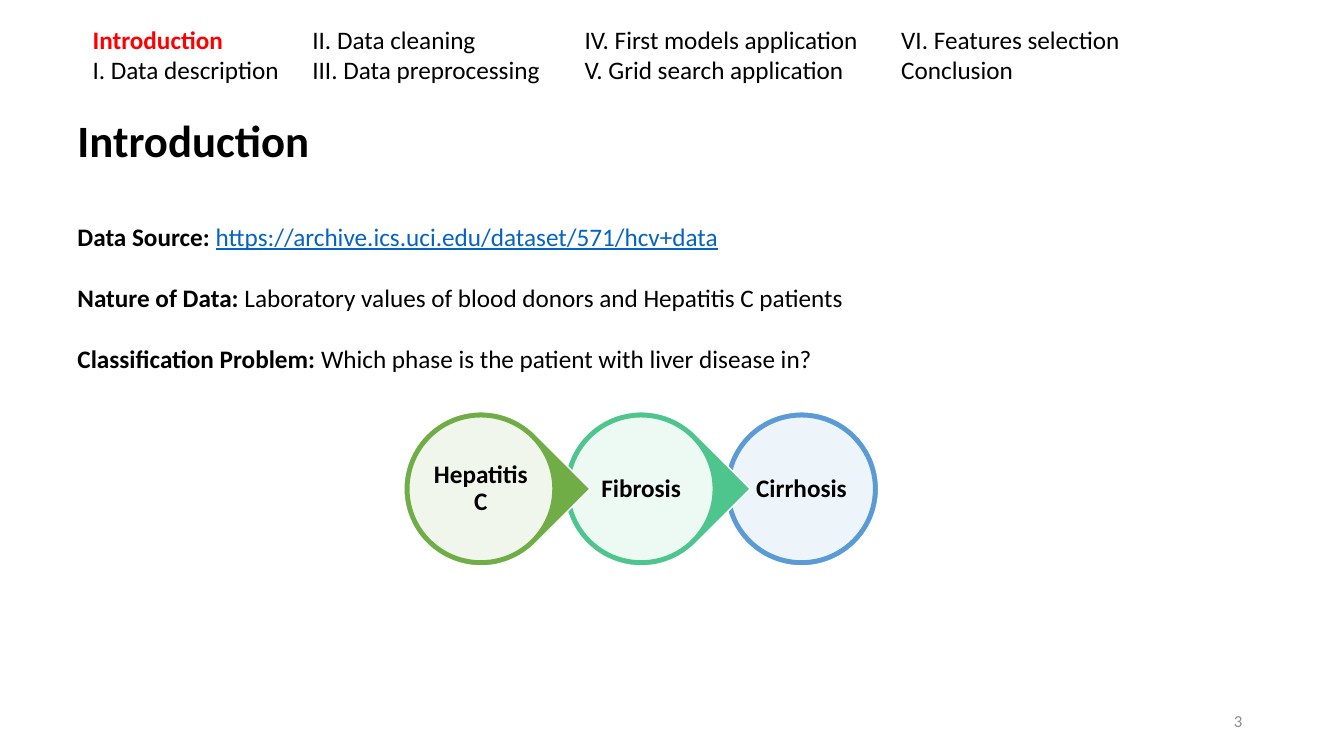
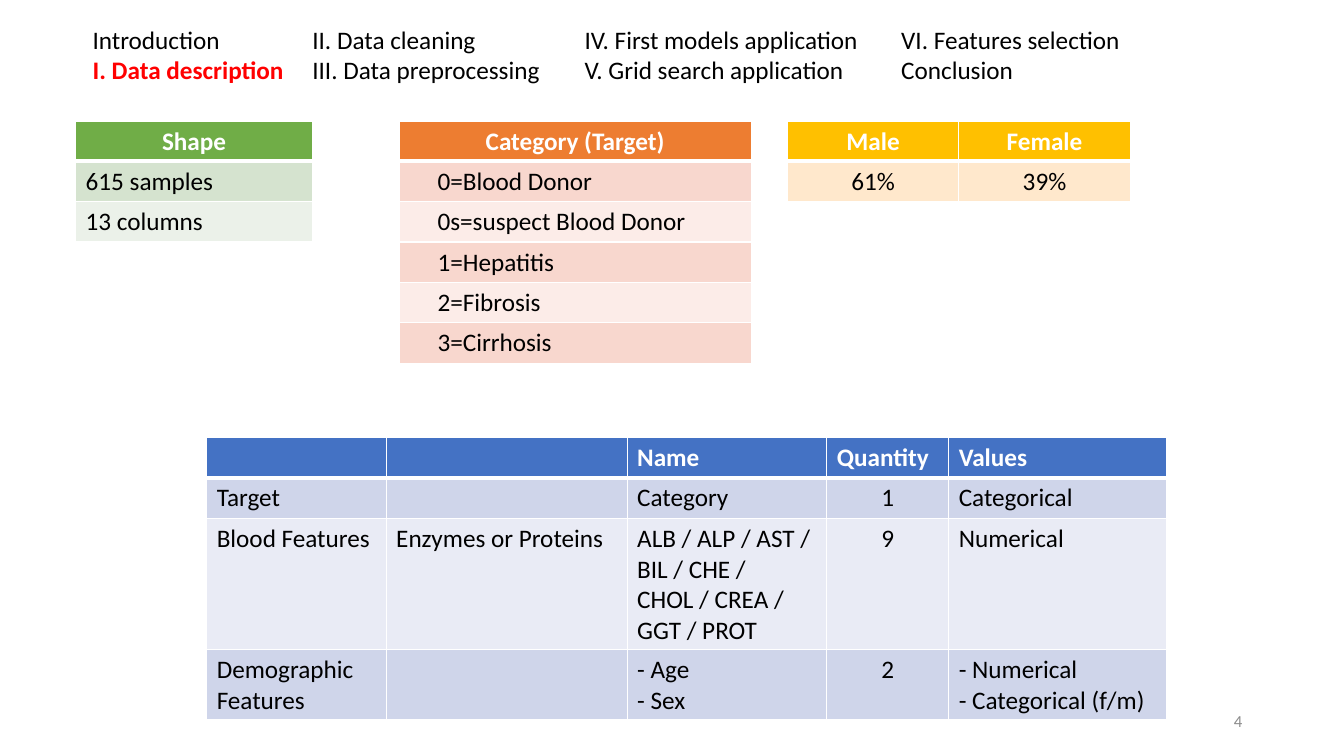
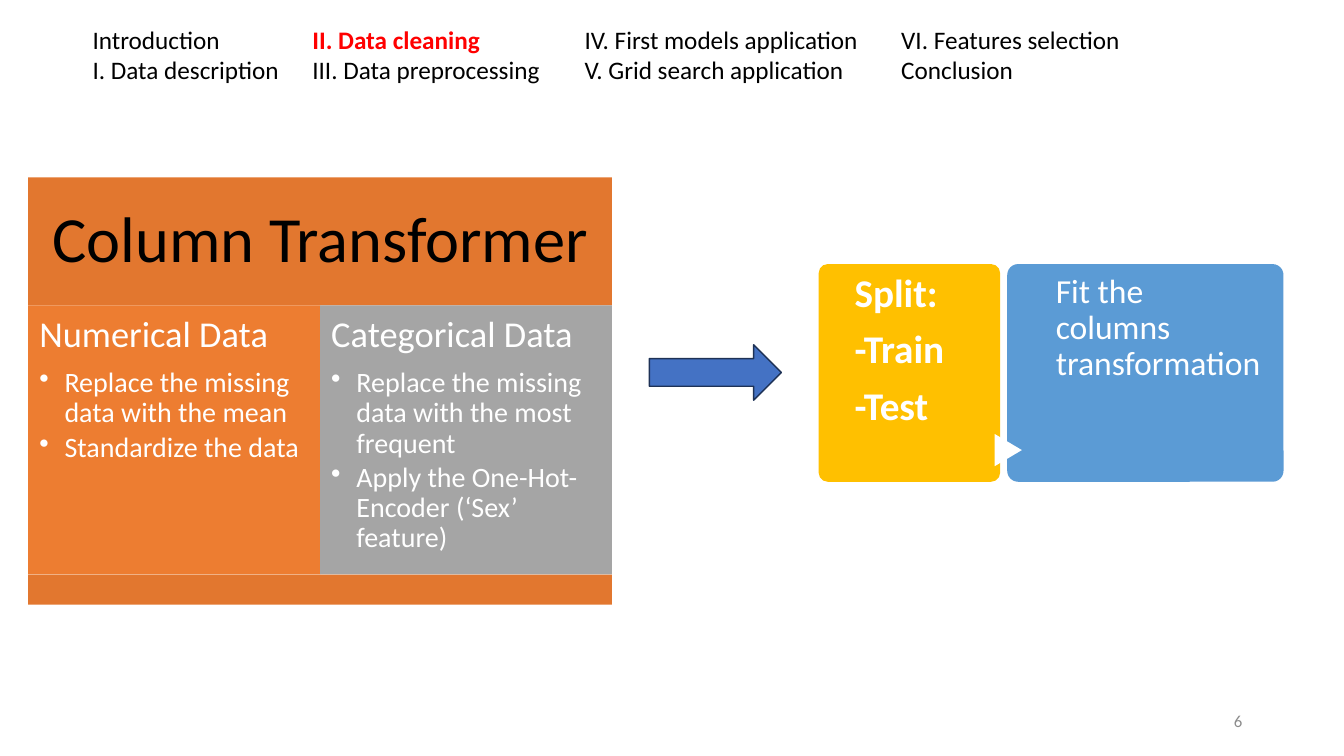
"""Build three slides on classifying the phase of a liver disease."""

from lxml.etree import SubElement
from pptx import Presentation
from pptx.dml.color import RGBColor
from pptx.enum.shapes import MSO_SHAPE
from pptx.enum.text import MSO_ANCHOR, PP_ALIGN
from pptx.oxml.ns import qn
from pptx.util import Inches, Pt

FONT = "Calibri"
BLACK, WHITE, RED, GRAY = "000000", "FFFFFF", "FF0000", "8C8C8C"
GREEN, TEAL, BLUE, ROYAL = "70AD47", "4DC58D", "5B9BD5", "4472C4"
ORANGE, DARK_ORANGE, SILVER, GOLD = "ED7D31", "E2772F", "A5A5A5", "FFC000"
LINK_BLUE, NAVY = "0563C1", "1E3256"
LEFT, CENTER, RIGHT = PP_ALIGN.LEFT, PP_ALIGN.CENTER, PP_ALIGN.RIGHT

NAVIGATION_ROWS = (
    ("Introduction", "II. Data cleaning", "IV. First models application", "VI. Features selection"),
    ("I. Data description", "III. Data preprocessing", "V. Grid search application", "Conclusion"),
)
NAVIGATION_TABS = (2.18, 4.88, 8.02)


def color(value):
    """Turn a hex string into a colour."""
    return RGBColor.from_string(value)


def format_paragraph(paragraph, size=18, ink=BLACK, bold=False, align=LEFT):
    """Set the font and alignment of a paragraph."""
    paragraph.alignment = align
    font = paragraph.font
    font.name, font.size, font.bold = FONT, Pt(size), bold
    font.color.rgb = color(ink)


def add_paragraph(frame, text="", **style):
    """Append a formatted paragraph, using the empty first one if there is one."""
    first = frame.paragraphs[0]
    paragraph = first if len(frame.paragraphs) == 1 and not first.runs else frame.add_paragraph()
    if text:
        paragraph.add_run().text = text
    format_paragraph(paragraph, **style)
    return paragraph


def add_compact(frame, text, after=0, **style):
    """Append a paragraph with tight lines and a gap after it."""
    paragraph = add_paragraph(frame, text, **style)
    paragraph.line_spacing = 0.9
    paragraph.space_after = Pt(after)
    return paragraph


def add_bullet(frame, text):
    """Append a bulleted line."""
    paragraph = add_compact(frame, text, after=3, size=20, ink=WHITE)
    properties = paragraph._p.get_or_add_pPr()
    properties.set("marL", str(Inches(0.25)))
    properties.set("indent", str(Inches(-0.25)))
    bullet = SubElement(properties, qn("a:buChar"))
    bullet.set("char", "•")
    properties.find(qn("a:defRPr")).addprevious(bullet)


def add_tab_stops(paragraph, positions):
    """Give a paragraph left tab stops."""
    properties = paragraph._p.get_or_add_pPr()
    tab_list = SubElement(properties, qn("a:tabLst"))
    for position in positions:
        SubElement(tab_list, qn("a:tab"), pos=str(Inches(position)), algn="l")
    properties.find(qn("a:defRPr")).addprevious(tab_list)


def add_text_box(slide, left, top, width, height):
    """Add a wrapping text box and return its text frame."""
    box = slide.shapes.add_textbox(Inches(left), Inches(top), Inches(width), Inches(height))
    box.text_frame.word_wrap = True
    return box.text_frame


def add_block(slide, kind, left, top, width, height, fill, line=None, opacity=None, corner=None):
    """Add a flat preset shape."""
    shape = slide.shapes.add_shape(kind, Inches(left), Inches(top), Inches(width), Inches(height))
    shape.shadow.inherit = False
    shape.fill.solid()
    shape.fill.fore_color.rgb = color(fill)
    if opacity is not None:
        fill_color = shape._element.spPr.find(qn("a:solidFill"))[0]
        SubElement(fill_color, qn("a:alpha"), val=str(opacity * 1000))
    if line:
        shape.line.color.rgb = color(line)
        shape.line.width = Pt(1)
    else:
        shape.line.fill.background()
    if corner is not None:
        shape.adjustments[0] = corner
    return shape


def set_frame(shape, left, top, right, bottom, anchor=MSO_ANCHOR.TOP):
    """Set the margins and anchor of a shape's text and return its frame."""
    frame = shape.text_frame
    frame.word_wrap = True
    frame.vertical_anchor = anchor
    frame.margin_left, frame.margin_top = Inches(left), Inches(top)
    frame.margin_right, frame.margin_bottom = Inches(right), Inches(bottom)
    return frame


def add_base_slide(presentation, number, active):
    """Add a slide with the section navigation and its number."""
    slide = presentation.slides.add_slide(presentation.slide_layouts[6])
    navigation = add_text_box(slide, 0.82, 0.19, 12.4, 0.71)
    for sections in NAVIGATION_ROWS:
        paragraph = add_paragraph(navigation)
        add_tab_stops(paragraph, NAVIGATION_TABS)
        for index, section in enumerate(sections):
            run = paragraph.add_run()
            run.text = f"\t{section}" if index else section
            if section == active:
                run.font.bold = True
                run.font.color.rgb = color(RED)
    footer = add_text_box(slide, 9.42, 6.95, 3, 0.4)
    footer.vertical_anchor = MSO_ANCHOR.MIDDLE
    add_paragraph(footer, str(number), size=12, ink=GRAY, align=RIGHT)
    return slide


def set_borders(cell, top, bottom):
    """Draw white borders around a cell."""
    properties = cell._tc.get_or_add_tcPr()
    for side, width in (("L", 1), ("R", 1), ("T", top), ("B", bottom)):
        border = SubElement(properties, qn(f"a:ln{side}"), w=str(Pt(width)))
        fill = SubElement(border, qn("a:solidFill"))
        SubElement(fill, qn("a:srgbClr"), val=WHITE)


def add_table(slide, left, top, widths, rows, header, bands,
              header_align=CENTER, aligns=None, indent=0.1):
    """Add a table with a coloured header and alternating bands."""
    row_height = 0.4
    table = slide.shapes.add_table(
        len(rows), len(widths), Inches(left), Inches(top),
        Inches(sum(widths)), Inches(row_height * len(rows))).table
    table.horz_banding = False
    for column, width in zip(table.columns, widths):
        column.width = Inches(width)
    for row_index, values in enumerate(rows):
        table.rows[row_index].height = Inches(row_height)
        is_header = row_index == 0
        for column_index, value in enumerate(values):
            cell = table.cell(row_index, column_index)
            set_borders(cell, 3 if row_index == 1 else 1, 3 if is_header else 1)
            cell.fill.solid()
            cell.fill.fore_color.rgb = color(header if is_header else bands[(row_index - 1) % 2])
            cell.margin_left = Inches(0.1 if is_header else indent)
            align = header_align if is_header else (aligns[column_index] if aligns else LEFT)
            for line in value.split("\n"):
                add_paragraph(cell.text_frame, line, ink=WHITE if is_header else BLACK,
                              bold=is_header, align=align)


def add_phases(slide, phases):
    """Draw overlapping rings that lead from one phase to the next."""
    first_center, middle, pitch, outer, inner = 4.77, 4.85, 1.59, 1.53, 1.43
    for index, (name, fill) in reversed(list(enumerate(phases))):
        center = first_center + index * pitch
        is_last = index == len(phases) - 1
        ring = add_block(slide, MSO_SHAPE.OVAL if is_last else MSO_SHAPE.TEAR,
                         center - outer / 2, middle - outer / 2, outer, outer, fill, WHITE)
        if not is_last:
            ring.rotation = 45
        disc = add_block(slide, MSO_SHAPE.OVAL, center - inner / 2, middle - inner / 2,
                         inner, inner, WHITE, fill, opacity=90)
        frame = set_frame(disc, 0.03, 0.03, 0.03, 0.03, MSO_ANCHOR.MIDDLE)
        add_compact(frame, name, bold=True, align=CENTER)


def build_introduction(presentation):
    """Build the introduction slide."""
    slide = add_base_slide(presentation, 3, "Introduction")
    frame = add_text_box(slide, 0.67, 1.07, 12.16, 3)
    add_paragraph(frame, "Introduction", size=32, bold=True)
    facts = (
        ("Data Source: ", "https://archive.ics.uci.edu/dataset/571/hcv+data", 39),
        ("Nature of Data: ", "Laboratory values of blood donors and Hepatitis C patients", 22),
        ("Classification Problem: ", "Which phase is the patient with liver disease in?", 22),
    )
    for label, text, gap in facts:
        paragraph = add_paragraph(frame, label)
        paragraph.space_before = Pt(gap)
        paragraph.runs[0].font.bold = True
        run = paragraph.add_run()
        run.text = text
        if text.startswith("https"):
            run.font.underline = True
            run.font.color.rgb = color(LINK_BLUE)
    add_phases(slide, (("Hepatitis C", GREEN), ("Fibrosis", TEAL), ("Cirrhosis", BLUE)))


def build_description(presentation):
    """Build the data description slide."""
    slide = add_base_slide(presentation, 4, "I. Data description")
    add_table(slide, 0.75, 1.2, (2.35,), (("Shape",), ("615 samples",), ("13 columns",)),
              GREEN, ("D5E3CF", "EBF1E9"))
    categories = ("Category (Target)", "0=Blood Donor", "0s=suspect Blood Donor",
                  "1=Hepatitis", "2=Fibrosis", "3=Cirrhosis")
    add_table(slide, 3.96, 1.2, (3.49,), [(category,) for category in categories],
              ORANGE, ("F8D7CE", "FCECE8"), indent=0.38)
    add_table(slide, 7.81, 1.2, (1.7, 1.7), (("Male", "Female"), ("61%", "39%")),
              GOLD, ("FFE8CC", "FFE8CC"), aligns=(CENTER, CENTER))
    features = (
        ("", "", "Name", "Quantity", "Values"),
        ("Target", "", "Category", "1", "Categorical"),
        ("Blood Features", "Enzymes or Proteins",
         "ALB / ALP / AST / BIL / CHE / CHOL / CREA / GGT / PROT", "9", "Numerical"),
        ("Demographic Features", "", "- Age\n- Sex", "2", "- Numerical\n- Categorical (f/m)"),
    )
    add_table(slide, 2.05, 4.34, (1.78, 2.39, 1.98, 1.21, 2.16), features, ROYAL,
              ("CFD5EA", "E9EBF5"), header_align=LEFT, aligns=(LEFT, LEFT, LEFT, CENTER, LEFT))


def add_transformer(slide):
    """Draw the column transformer with a panel for each kind of data."""
    left, width = 0.28, 5.79
    header = add_block(slide, MSO_SHAPE.RECTANGLE, left, 1.76, width, 1.27, DARK_ORANGE)
    frame = set_frame(header, 0.19, 0.19, 0.19, 0.19, MSO_ANCHOR.MIDDLE)
    add_compact(frame, "Column Transformer", size=46, align=CENTER)
    panels = (
        ("Numerical Data", ORANGE,
         ("Replace the missing data with the mean", "Standardize the data")),
        ("Categorical Data", SILVER,
         ("Replace the missing data with the most frequent",
          "Apply the One-Hot-Encoder (‘Sex’ feature)")),
    )
    panel_width = width / len(panels)
    for index, (title, fill, steps) in enumerate(panels):
        panel = add_block(slide, MSO_SHAPE.RECTANGLE, left + index * panel_width, 3.03,
                          panel_width, 2.67, fill)
        frame = set_frame(panel, 0.11, 0.11, 0.11, 0.11)
        add_compact(frame, title, after=9, size=26, ink=WHITE)
        for step in steps:
            add_bullet(frame, step)
    add_block(slide, MSO_SHAPE.RECTANGLE, left, 5.7, width, 0.3, DARK_ORANGE)


def add_card(slide, left, width, fill, margins, lines, size, bold):
    """Add a rounded card with lines of white text."""
    card = add_block(slide, MSO_SHAPE.ROUNDED_RECTANGLE, left, 2.62, width, 2.16, fill, corner=0.05)
    frame = set_frame(card, margins[0], 0.07, margins[1], 0)
    for line in lines:
        add_compact(frame, line, after=10, size=size, ink=WHITE, bold=bold)


def build_cleaning(presentation):
    """Build the data cleaning slide."""
    slide = add_base_slide(presentation, 6, "II. Data cleaning")
    add_transformer(slide)
    add_block(slide, MSO_SHAPE.RIGHT_ARROW, 6.44, 3.42, 1.31, 0.55, ROYAL, NAVY)
    add_card(slide, 8.12, 1.8, GOLD, (0.33, 0.07), ("Split:", "-Train", "-Test"), 28, True)
    add_card(slide, 9.99, 2.74, BLUE, (0.45, 0.19), ("Fit the columns transformation",), 24, False)
    pointer = add_block(slide, MSO_SHAPE.FLOWCHART_EXTRACT, 9.84, 4.33, 0.32, 0.27, WHITE)
    pointer.rotation = 90


def main():
    """Build and save the presentation."""
    presentation = Presentation()
    presentation.slide_width = Inches(13.33)
    presentation.slide_height = Inches(7.5)
    build_introduction(presentation)
    build_description(presentation)
    build_cleaning(presentation)
    presentation.save("out.pptx")


if __name__ == "__main__":
    main()
